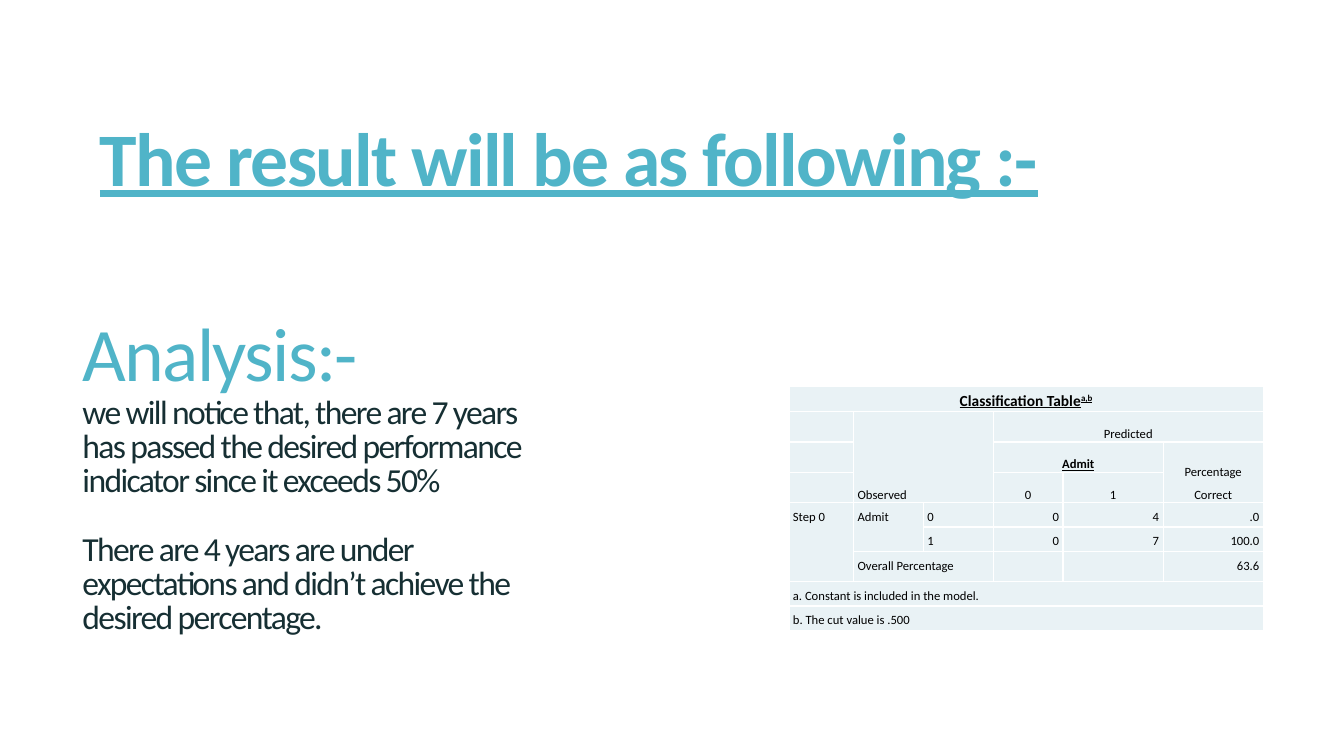
from lxml import etree
from pptx import Presentation
from pptx.dml.color import RGBColor
from pptx.enum.text import MSO_ANCHOR, PP_ALIGN
from pptx.oxml.ns import qn
from pptx.util import Inches, Pt

TOP, MID, LOW = MSO_ANCHOR.TOP, MSO_ANCHOR.MIDDLE, MSO_ANCHOR.BOTTOM
LEFT, CENTER, RIGHT = PP_ALIGN.LEFT, PP_ALIGN.CENTER, PP_ALIGN.RIGHT
TEAL = RGBColor(0x50, 0xB4, 0xC8)
DARK = RGBColor(0x16, 0x2F, 0x33)
BLACK = RGBColor(0, 0, 0)
PALE = RGBColor(0xE9, 0xF2, 0xF5)
EDGE = "FFFFFF"
FONT = "Calibri"
WIDE, HIGH = Inches(13.33), Inches(7.5)

TITLE = "The result will be as following :-"
NOTES = [
    ("Analysis:-", 54, TEAL, 0),
    ("we will notice that, there are 7 years has passed the desired "
     "performance indicator since it exceeds 50%", 24, DARK, 0),
    ("There are 4 years are under expectations and didn\u2019t achieve the "
     "desired percentage.", 24, DARK, 24.6),
]
COLS = [0.64, 0.69, 0.69, 0.69, 0.99, 0.99]
ROWS = [0.25, 0.24, 0.24, 0.27, 0.24, 0.24, 0.25, 0.24, 0.24]
SPANS = [
    (0, 0, 0, 5), (1, 1, 3, 2), (1, 3, 1, 5), (2, 3, 2, 4), (2, 5, 3, 5),
    (4, 0, 6, 0), (4, 1, 5, 1), (6, 1, 6, 2), (7, 0, 7, 5), (8, 0, 8, 5),
]
CELLS = [
    ["Classification Table"],
    ["", "Observed", "", "Predicted"],
    ["", "", "", "Admit", "", "Percentage Correct"],
    ["", "", "", "0", "1"],
    ["Step 0", "Admit", "0", "0", "4", ".0"],
    ["", "", "1", "0", "7", "100.0"],
    ["", "Overall Percentage", "", "", "", "63.6"],
    ["a. Constant is included in the model."],
    ["b. The cut value is .500"],
]
HEADS = {(0, 0), (2, 3)}


def place(box):
    """Turn shares of the slide into lengths."""
    return [int(share * side) for share, side in zip(box, (WIDE, HIGH) * 2)]


def style(run, size, color, bold=False):
    """Set the font of a run; bold runs are underlined as well."""
    font = run.font
    font.name, font.size = FONT, Pt(size)
    font.bold = font.underline = bold
    font.color.rgb = color


def draw_text(slide, box, parts, bold=False):
    """Place tight, middle-anchored paragraphs in a box."""
    frame = slide.shapes.add_textbox(*place(box)).text_frame
    frame.word_wrap = True
    frame.vertical_anchor = MID
    frame.text = "\n".join(part[0] for part in parts)
    for para, (_, size, color, gap) in zip(frame.paragraphs, parts):
        para.line_spacing = 0.85
        para.space_before = Pt(gap)
        for run in para.runs:
            style(run, size, color, bold)
            run.font._element.set("spc", "-120")


def add_edges(cell):
    """Draw thin white borders on all sides of a cell."""
    props = cell._tc.get_or_add_tcPr()
    for side in ("lnL", "lnR", "lnT", "lnB"):
        line = etree.SubElement(props, qn("a:" + side), w=str(Pt(1)))
        fill = etree.SubElement(line, qn("a:solidFill"))
        etree.SubElement(fill, qn("a:srgbClr"), val=EDGE)


def align_cell(row, col):
    """Give the alignment and anchor for a cell's place in the table."""
    if row == 0:
        return CENTER, MID
    if row < 4:
        return (CENTER if col > 2 else LEFT), LOW
    return (RIGHT if col > 2 else LEFT), TOP


def draw_table(slide, box):
    """Place the classification table, scaled to its box."""
    left, top, width, height = place(box)
    frame = slide.shapes.add_table(len(ROWS), len(COLS), left, top, width, height)
    table = frame.table
    for col, share in zip(table.columns, COLS):
        col.width = int(width * share / sum(COLS))
    for row, share in zip(table.rows, ROWS):
        row.height = int(height * share / sum(ROWS))
    for r in range(len(ROWS)):
        for c in range(len(COLS)):
            cell = table.cell(r, c)
            add_edges(cell)
            cell.fill.solid()
            cell.fill.fore_color.rgb = PALE
            cell.margin_top = cell.margin_bottom = 0
            cell.margin_left = cell.margin_right = Inches(0.04)
            para = cell.text_frame.paragraphs[0]
            para.alignment, cell.vertical_anchor = align_cell(r, c)
            para.line_spacing = Pt(16)
            text = CELLS[r][c] if c < len(CELLS[r]) else ""
            if text:
                para.text = text
                style(para.runs[0], 9 if r else 11, BLACK, (r, c) in HEADS)
    mark = table.cell(0, 0).text_frame.paragraphs[0].add_run()
    mark.text = "a,b"
    style(mark, 11, BLACK, True)
    mark.font._element.set("baseline", "30000")
    for r, c, last, end in SPANS:
        table.cell(r, c).merge(table.cell(last, end))


def main():
    """Build the slide and save it."""
    deck = Presentation()
    deck.slide_width, deck.slide_height = WIDE, HIGH
    slide = deck.slides.add_slide(deck.slide_layouts[6])
    draw_text(slide, (0.054, 0.337, 0.346, 0.591), NOTES)
    draw_table(slide, (0.587, 0.511, 0.353, 0.297))
    draw_text(slide, (0.067, 0.095, 0.884, 0.241), [(TITLE, 54, TEAL, 0)], True)
    deck.save("out.pptx")


main()
